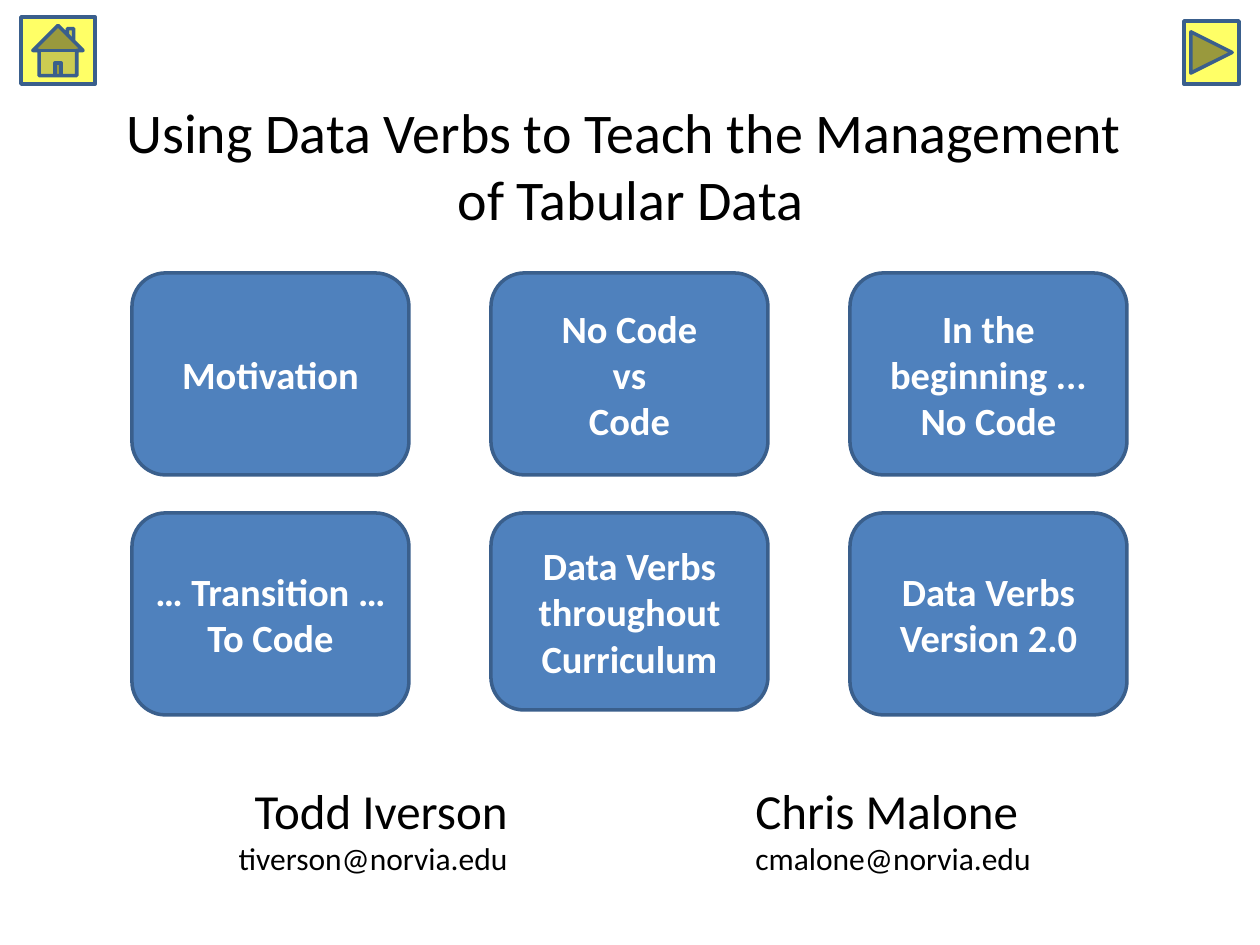
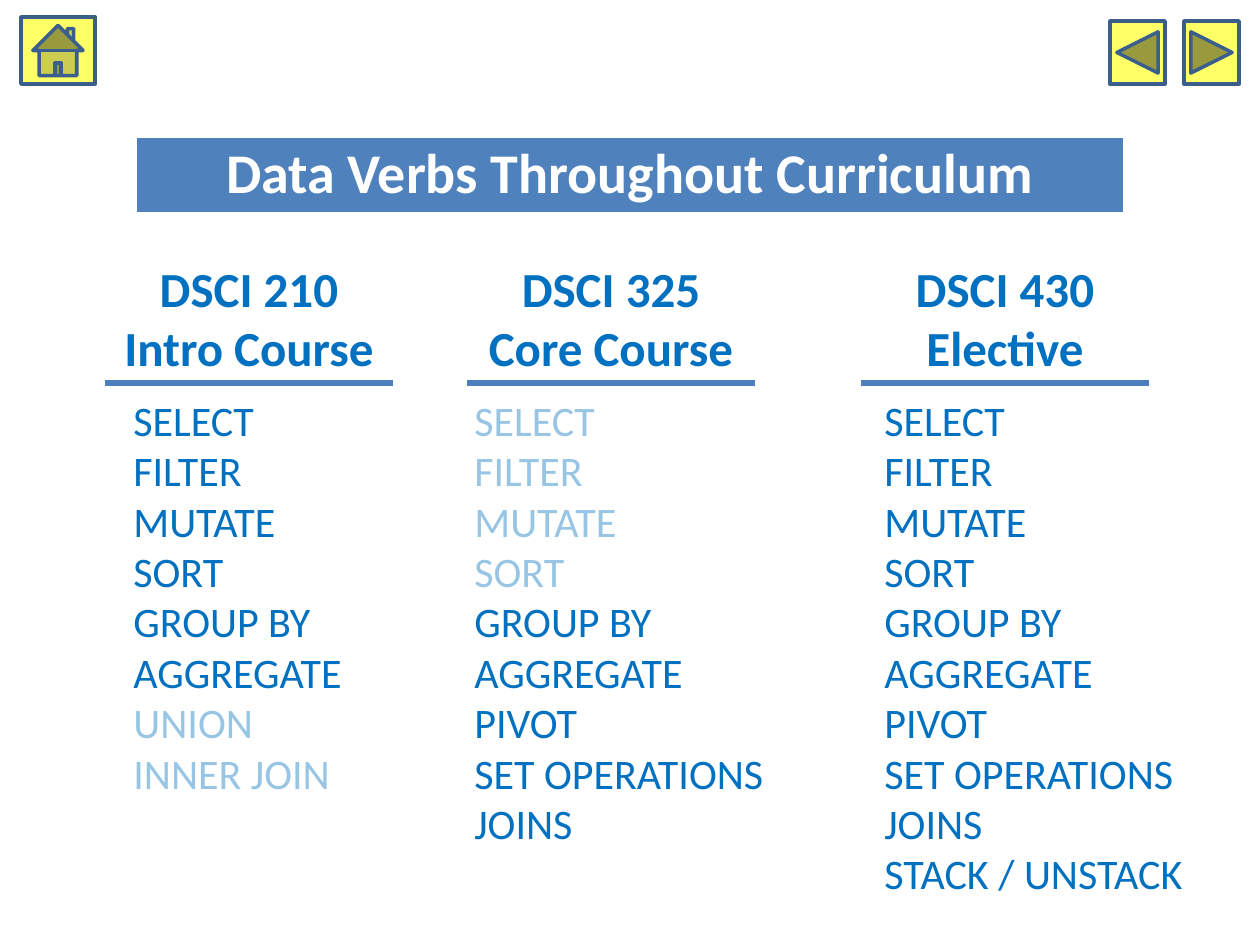
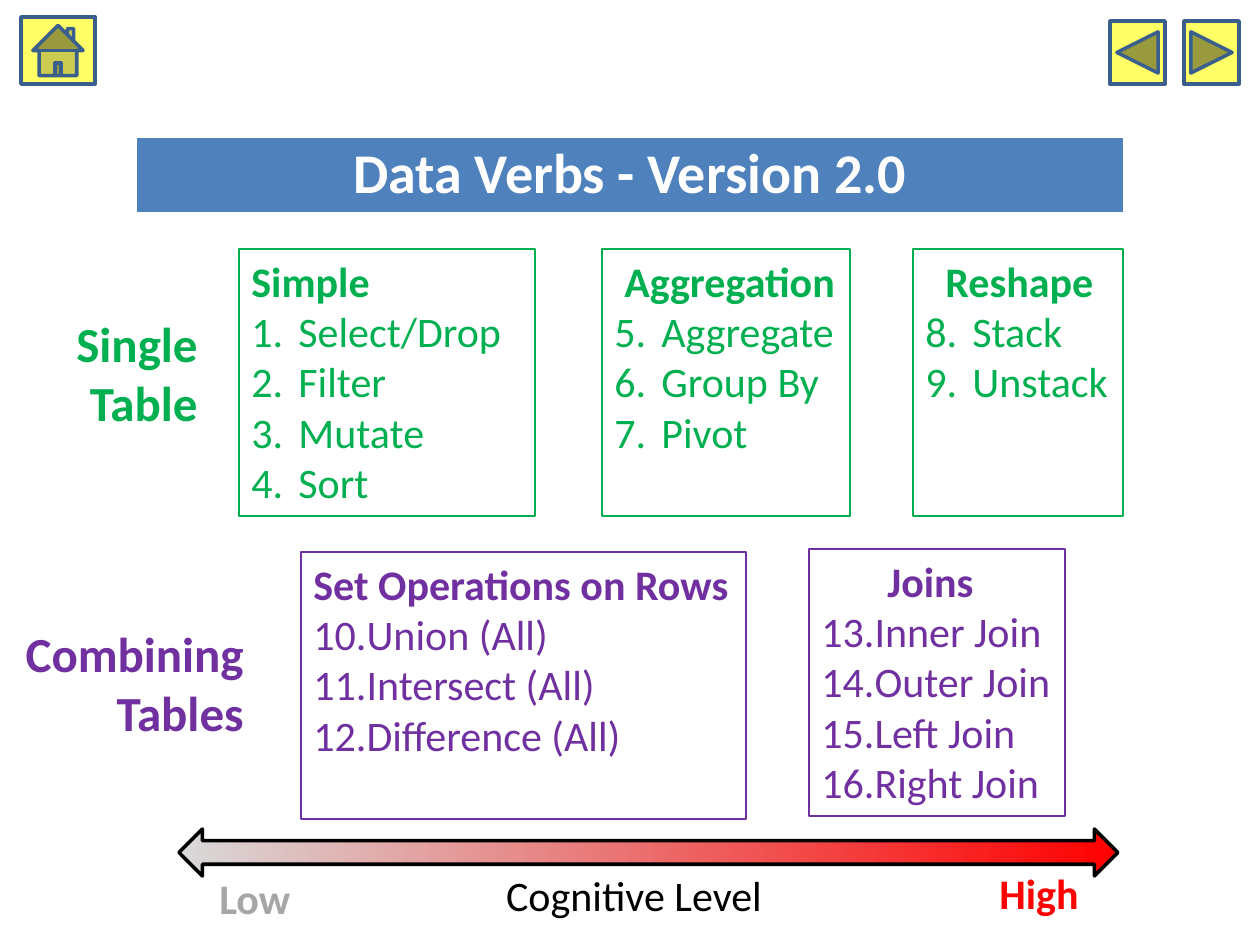
from lxml.etree import SubElement
from pptx import Presentation
from pptx.dml.color import RGBColor
from pptx.enum.shapes import MSO_CONNECTOR, MSO_SHAPE as Preset
from pptx.enum.text import MSO_ANCHOR as Anchor, MSO_AUTO_SIZE, PP_ALIGN as Align
from pptx.oxml.ns import qn
from pptx.util import Emu, Inches, Pt

PIXEL = 914400 / 126
FONT = "Calibri"
COLORS = {
    "black": "000000", "white": "FFFFFF", "blue": "4F81BD", "edge": "3A5F8C",
    "rule": "4B7EBC", "button": "FFFF66", "verb": "0070C0", "single": "00B050",
    "combined": "7030A0", "pale": "D9D9D9", "low": "A6A6A6", "high": "FF0000",
}


def px(pixels):
    """Turn pixels into EMU."""
    return Emu(round(pixels * PIXEL))


def box_emu(box):
    """Turn a pixel box (left, top, width, height) into EMU."""
    return [px(length) for length in box]


def rgb(name):
    """Look up a named colour."""
    return RGBColor.from_string(COLORS[name])


def add_runs(paragraph, text, size, color, bold=False):
    """Add text to a paragraph; a newline becomes a line break."""
    for i, line in enumerate(text.split("\n")):
        if i:
            paragraph.add_line_break()
        if line:
            run = paragraph.add_run()
            run.text = line
            run.font.name, run.font.size, run.font.bold = FONT, Pt(size), bold
            run.font.color.rgb = rgb(color)


def write(frame, texts, size, color, bold=False, align=Align.LEFT):
    """Fill an empty text frame with one paragraph per text."""
    frame.word_wrap = True
    for i, text in enumerate(texts):
        paragraph = frame.add_paragraph() if i else frame.paragraphs[0]
        paragraph.alignment = align
        add_runs(paragraph, text, size, color, bold)


def add_label(slide, box, texts, size, color, bold=False, align=Align.LEFT):
    """Add a text box and return it."""
    label = slide.shapes.add_textbox(*box_emu(box))
    write(label.text_frame, texts, size, color, bold, align)
    return label


def add_filled(slide, preset, box, fill, edge=None):
    """Add a preset shape with a plain fill and an optional 2 pt edge."""
    shape = slide.shapes.add_shape(preset, *box_emu(box))
    shape.shadow.inherit = False
    shape.fill.solid()
    shape.fill.fore_color.rgb = rgb(fill)
    if edge:
        shape.line.color.rgb = rgb(edge)
        shape.line.width = Pt(2)
    else:
        shape.line.fill.background()
    return shape


def place_title(slide, box, text, color="black", bold=False):
    """Move and format the title placeholder."""
    title = slide.shapes.title
    title.left, title.top, title.width, title.height = box_emu(box)
    frame = title.text_frame
    frame.auto_size = MSO_AUTO_SIZE.NONE
    frame.vertical_anchor = Anchor.MIDDLE
    write(frame, [text], 32, color, bold, Align.CENTER)
    return title


def place_banner(slide, text):
    """Turn the title into the blue band of a content slide."""
    banner = place_title(slide, (135, 136, 990, 78), text, "white", True)
    banner.fill.solid()
    banner.fill.fore_color.rgb = rgb("blue")
    banner.line.color.rgb = rgb("white")
    banner.line.width = Pt(2)
    frame = banner.text_frame
    frame.margin_left = frame.margin_right = px(9)
    frame.margin_top = frame.margin_bottom = px(9)
    frame.paragraphs[0].line_spacing = 0.9
    frame.paragraphs[0].space_after = Pt(6)


def add_navigation(slide, back=True):
    """Add the home, next and optional back buttons."""
    buttons = [(Preset.ACTION_BUTTON_HOME, (21, 17, 74, 67)),
               (Preset.ACTION_BUTTON_FORWARD_OR_NEXT, (1184, 21, 55, 63))]
    if back:
        buttons.append((Preset.ACTION_BUTTON_BACK_OR_PREVIOUS, (1110, 21, 55, 63)))
    for preset, box in buttons:
        add_filled(slide, preset, box, "button", "edge")


def add_card(slide, box, texts):
    """Add one rounded topic card."""
    card = add_filled(slide, Preset.ROUNDED_RECTANGLE, box, "blue", "edge")
    card.text_frame.vertical_anchor = Anchor.MIDDLE
    write(card.text_frame, texts, 22, "white", True, Align.CENTER)


def add_contact(slide, box, name, email, align):
    """Add a presenter's name above the e-mail address."""
    contact = add_label(slide, box, [name + "\n"], 28, "black", align=align)
    add_runs(contact.text_frame.paragraphs[0], email, 18, "black")


def add_veil(slide, box):
    """Fade what lies below with a 60 % opaque white rectangle."""
    veil = add_filled(slide, Preset.RECTANGLE, box, "white")
    color = veil.fill._xPr.find(qn("a:solidFill"))[0]
    SubElement(color, qn("a:alpha"), val="60000")


def add_course(slide, box, heading, verbs, shift):
    """Add a course heading, its rule and its verbs, shifted sideways."""
    left, top, width, height = box
    add_label(slide, (left + 4, top, width - 8, 131), heading, 28, "verb", True, Align.CENTER)
    add_label(slide, (left + shift, top + 136, 336, height - 136), verbs, 24, "verb")
    rule_top = px(top + 131)
    rule = slide.shapes.add_connector(MSO_CONNECTOR.STRAIGHT, px(left), rule_top,
                                      px(left + width), rule_top)
    rule.line.color.rgb = rgb("rule")
    rule.line.width = Pt(3)
    SubElement(rule._element.spPr, qn("a:effectLst"))


def set_indent(paragraph, margin, first=0):
    """Set the left margin and first-line indent of a paragraph in pixels."""
    properties = paragraph._p.get_or_add_pPr()
    properties.set("marL", str(px(margin)))
    properties.set("indent", str(px(first)))
    return properties


def add_verb_panel(slide, box, color, heading, heading_indent, verbs, start):
    """Add an outlined panel with a heading and verbs numbered from start."""
    panel = add_label(slide, box, [heading], 24, color, True)
    panel.line.color.rgb = rgb(color)
    panel.line.width = Pt(0.75)
    frame = panel.text_frame
    frame.margin_right = 0
    set_indent(frame.paragraphs[0], heading_indent)
    for verb in verbs:
        paragraph = frame.add_paragraph()
        add_runs(paragraph, verb, 24, color)
        properties = set_indent(paragraph, 47, -47)
        SubElement(properties, qn("a:buFont"), typeface="+mj-lt")
        SubElement(properties, qn("a:buAutoNum"), type="arabicPeriod", startAt=str(start))


def add_scale(slide, box):
    """Add the cognitive-level arrow with its labels."""
    left, top, width, height = box
    arrow = add_filled(slide, Preset.LEFT_RIGHT_ARROW, box, "high", "black")
    arrow.fill.gradient()
    arrow.fill.gradient_angle = 0
    for stop, color in zip(arrow.fill.gradient_stops, ("pale", "high")):
        stop.color.rgb = rgb(color)
    add_label(slide, (left + 28, top + 37, 97, 63), ["Low"], 24, "low", True)
    add_label(slide, (left + 808, top + 32, 106, 63), ["High"], 24, "high", True)
    add_label(slide, (left + 103, top + 34, 704, 63), ["Cognitive Level"], 24,
              "black", align=Align.CENTER)


def build_start(slide):
    """Build the opening slide with its grid of topics."""
    place_title(slide, (95, 63, 1071, 203),
                "Using Data Verbs to Teach the Management \nof Tabular Data")
    cards = [
        (["Motivation"], 202),
        (["No Code\nvs", "Code"], 202),
        (["In the beginning ...\nNo Code"], 202),
        (["… Transition …", "To Code"], 202),
        (["Data Verbs", "throughout", "Curriculum"], 197),
        (["Data Verbs", "Version 2.0"], 202),
    ]
    for i, (texts, height) in enumerate(cards):
        row, column = divmod(i, 3)
        add_card(slide, (132 + 359 * column, 273 + 240 * row, 277, height), texts)
    add_navigation(slide, back=False)
    add_contact(slide, (58, 774, 462, 111), "Todd Iverson", "tiverson@norvia.edu", Align.RIGHT)
    add_contact(slide, (743, 774, 504, 111), "Chris Malone", "cmalone@norvia.edu", Align.LEFT)


def build_curriculum(slide):
    """Build the comparison of verbs over three courses."""
    add_navigation(slide)
    place_banner(slide, "Data Verbs Throughout Curriculum")
    basics = ["SELECT", "FILTER", "MUTATE", "SORT", "GROUP BY", "AGGREGATE"]
    core = basics + ["PIVOT", "SET OPERATIONS\nJOINS"]
    courses = [
        (105, ["DSCI 210\nIntro Course"], basics + ["UNION", "INNER JOIN"], 16),
        (467, ["DSCI 325", "Core Course"], core, -5),
        (861, ["DSCI 430", "Elective"], core + ["STACK / UNSTACK"], 11),
    ]
    for left, heading, verbs, shift in courses:
        add_course(slide, (left, 252, 288, 658), heading, verbs, shift)
    add_veil(slide, (111, 703, 262, 105))
    add_veil(slide, (461, 389, 291, 209))


def build_version(slide):
    """Build the numbered groups of verbs above the cognitive scale."""
    add_navigation(slide)
    place_banner(slide, "Data Verbs - Version 2.0")
    groups = [
        ((239, 249, 296), "single", "Simple", 0, ["Select/Drop", "Filter", "Mutate", "Sort"]),
        ((602, 249, 248), "single", "Aggregation", 10, ["Aggregate", "Group By", "Pivot"]),
        ((913, 249, 210), "single", "Reshape", 20, ["Stack", "Unstack"]),
        ((301, 552, 445), "combined", "Set Operations on Rows", 0,
         ["Union (All)", "Intersect (All)", "Difference (All)"]),
        ((809, 549, 256), "combined", "Joins", 66,
         ["Inner Join", "Outer Join", "Left Join", "Right Join"]),
    ]
    start = 1
    for place, color, heading, indent, verbs in groups:
        add_verb_panel(slide, (*place, 267), color, heading, indent, verbs, start)
        start += len(verbs)
    add_label(slide, (10, 617, 246, 131), ["Combining", "Tables"], 28, "combined", True,
              Align.RIGHT)
    add_label(slide, (31, 307, 179, 131), ["Single", "Table"], 28, "single", True, Align.RIGHT)
    add_scale(slide, (179, 829, 939, 47))


deck = Presentation()
deck.slide_width, deck.slide_height = Inches(10), Inches(7.5)
title_only = deck.slide_layouts[5]
for build in (build_start, build_curriculum, build_version):
    build(deck.slides.add_slide(title_only))
deck.save("out.pptx")
